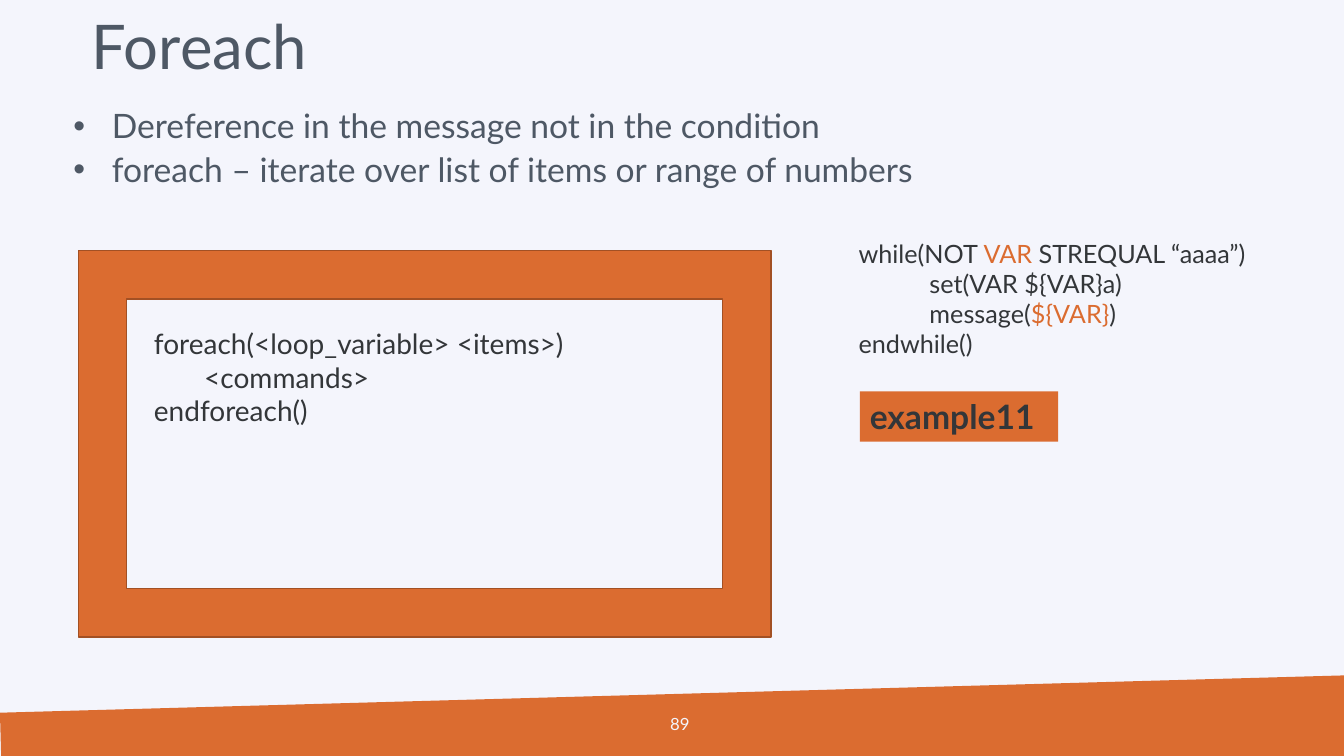
"""Build the slide that explains the foreach command."""
from dataclasses import dataclass

from lxml import etree
from pptx import Presentation
from pptx.dml.color import RGBColor
from pptx.enum.shapes import MSO_SHAPE
from pptx.enum.text import MSO_ANCHOR, MSO_AUTO_SIZE, PP_ALIGN
from pptx.oxml.ns import qn
from pptx.util import Cm, Pt

FRAME, RECT = MSO_SHAPE.FRAME, MSO_SHAPE.RECTANGLE
LEFT, RIGHT = PP_ALIGN.LEFT, PP_ALIGN.RIGHT
TOP, MIDDLE = MSO_ANCHOR.TOP, MSO_ANCHOR.MIDDLE
NO_FIT = MSO_AUTO_SIZE.NONE


@dataclass(frozen=True)
class Theme:
    font: str = "Lato"
    paper: str = "F4F5FC"
    heading: str = "4E5865"
    ink: str = "333639"
    accent: str = "DB6C30"
    edge: str = "A25024"
    title_size: int = 44
    body_size: int = 24
    syntax_size: int = 20
    code_size: int = 18
    number_size: int = 12


THEME = Theme()


def rgb(value):
    return RGBColor.from_string(value)


def place(sp, left, top, width, height):
    sp.left, sp.top, sp.width, sp.height = Cm(left), Cm(top), Cm(width), Cm(height)


def add_bullet(p, margin, hang):
    pPr = p._p.get_or_add_pPr()
    pPr.set("marL", str(Cm(margin)))
    pPr.set("indent", str(-Cm(hang)))
    etree.SubElement(pPr, qn("a:buFont"), typeface="Arial")
    etree.SubElement(pPr, qn("a:buChar"), char="•")


def write(sp, lines, size, color=THEME.ink, bold=False, align=LEFT, anchor=TOP,
          spacing=None, before=0, bullet=None, inset=None):
    """Fill a shape with lines; each line is text or a list of (text, color)."""
    tf = sp.text_frame
    tf.word_wrap, tf.auto_size, tf.vertical_anchor = True, NO_FIT, anchor
    if inset is not None:
        tf.margin_left = tf.margin_right = tf.margin_top = tf.margin_bottom = Cm(inset)
    for i, line in enumerate(lines):
        p = tf.add_paragraph() if i else tf.paragraphs[0]
        if bullet:
            add_bullet(p, *bullet)
        p.alignment = align
        p.space_before = Pt(before if i else 0)
        if spacing:
            p.line_spacing = spacing
        for text, tint in [(line, color)] if isinstance(line, str) else line:
            r = p.add_run()
            r.text = text
            r.font.name, r.font.size, r.font.bold = THEME.font, Pt(size), bold
            r.font.color.rgb = rgb(tint)


def paint(sp, line=None):
    sp.shadow.inherit = False
    sp.fill.solid()
    sp.fill.fore_color.rgb = rgb(THEME.accent)
    if line:
        sp.line.color.rgb = rgb(line)
        sp.line.width = Pt(1)
    else:
        sp.line.fill.background()


def add_box(slide, kind, box, line=None):
    sp = slide.shapes.add_shape(kind, *map(Cm, box))
    paint(sp, line)
    return sp


def add_text(slide, box, lines, size, **style):
    sp = slide.shapes.add_textbox(*map(Cm, box))
    write(sp, lines, size, **style)


def add_footer_band(slide, width, height):
    fb = slide.shapes.build_freeform(0, Cm(17.96))
    fb.add_line_segments([(width, Cm(17.02)), (width, height), (Cm(0.03), height)])
    paint(fb.convert_to_shape())


def main():
    prs = Presentation()
    prs.slide_width, prs.slide_height = Cm(33.87), Cm(19.05)
    slide = prs.slides.add_slide(prs.slide_layouts[1])
    slide.background.fill.solid()
    slide.background.fill.fore_color.rgb = rgb(THEME.paper)
    add_footer_band(slide, prs.slide_width, prs.slide_height)

    title, body = slide.placeholders
    place(title, 2.06, 0, 29.21, 2.49)
    write(title, ["Foreach"], THEME.title_size, color=THEME.heading,
          anchor=MIDDLE, spacing=0.9)
    place(body, 0.76, 2.77, 31.98, 14.83)
    write(body, ["Dereference in the message not in the condition",
                 "foreach – iterate over list of items or range of numbers"],
          THEME.body_size, color=THEME.heading, spacing=0.9, before=5,
          bullet=(2.06, 0.97), inset=0)

    add_box(slide, FRAME, (1.98, 6.32, 17.45, 9.73), line=THEME.edge)
    add_text(slide, (3.63, 8.1, 15.77, 2.82),
             ["foreach(<loop_variable> <items>)",
              "       <commands>",
              "endforeach()"], THEME.syntax_size)

    ink, accent = THEME.ink, THEME.accent
    add_text(slide, (21.39, 5.87, 10.49, 3.33),
             [[("while(NOT ", ink), ("VAR", accent), (" STREQUAL “aaaa”)", ink)],
              "           set(VAR ${VAR}a)",
              [("           message(", ink), ("${VAR}", accent), (")", ink)],
              "endwhile()"], THEME.code_size)

    label = add_box(slide, RECT, (21.67, 9.86, 5, 1.27))
    write(label, ["example11"], THEME.body_size, bold=True)
    add_text(slide, (16.23, 17.73, 1.4, 1.02), ["89"], THEME.number_size,
             color=THEME.paper, align=RIGHT, anchor=MIDDLE)
    prs.save("out.pptx")


if __name__ == "__main__":
    main()
